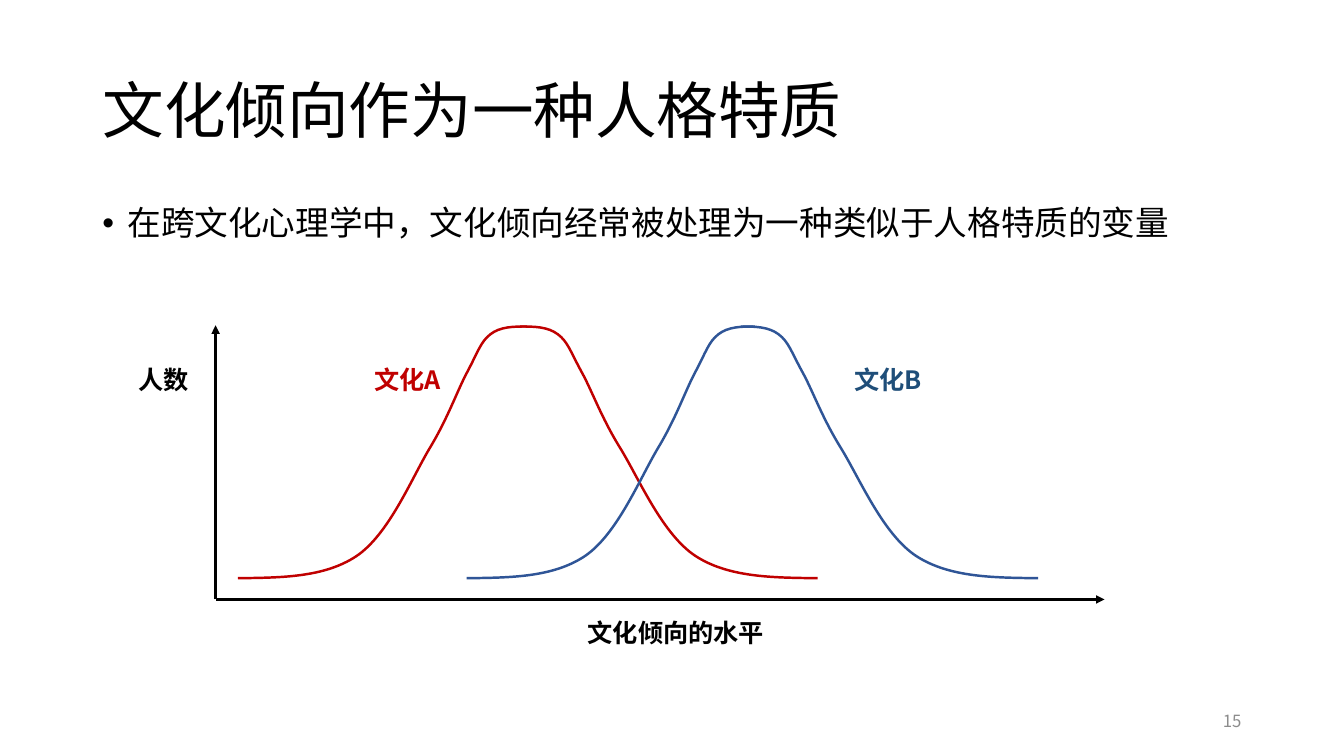
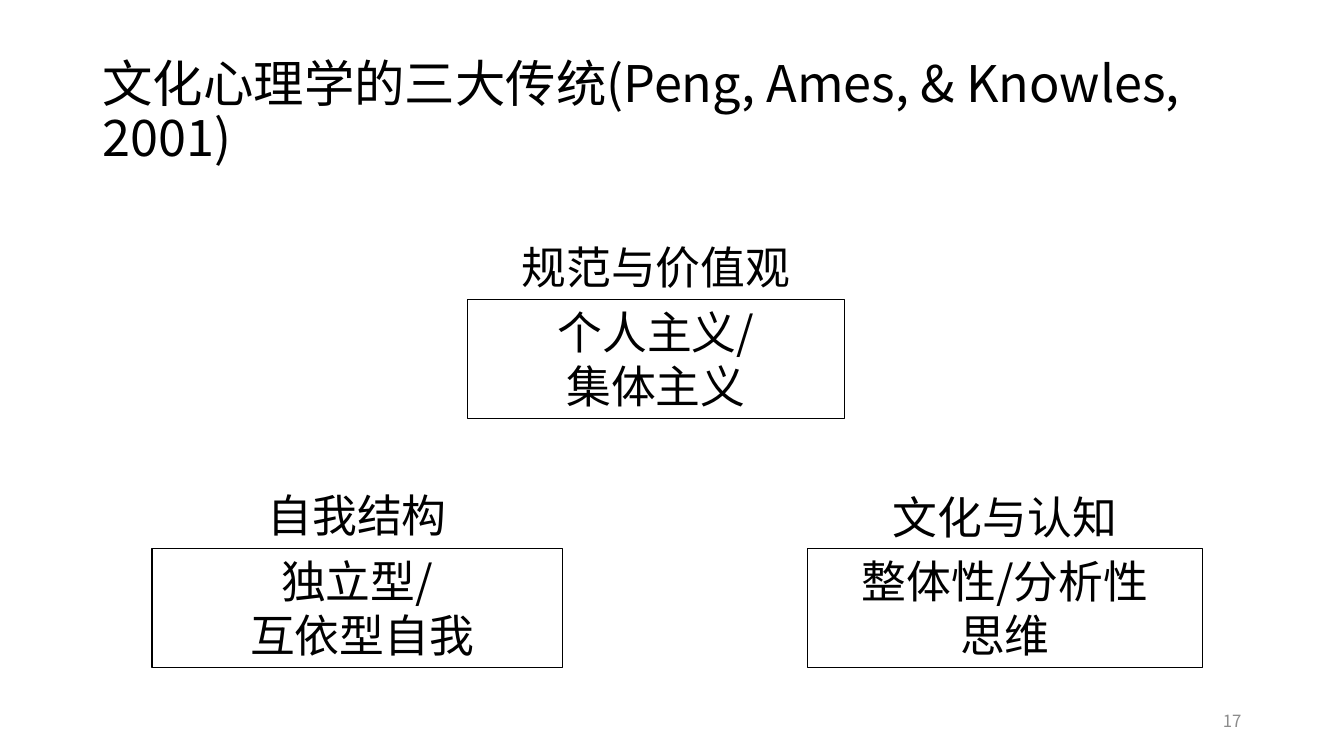
from lxml.etree import SubElement
from pptx import Presentation
from pptx.dml.color import RGBColor
from pptx.enum.shapes import MSO_CONNECTOR, MSO_SHAPE
from pptx.enum.text import MSO_ANCHOR, MSO_AUTO_SIZE, PP_ALIGN
from pptx.oxml.ns import qn
from pptx.util import Pt

FONT = "Noto Sans CJK SC"
BLACK = RGBColor(0, 0, 0)
GREY = RGBColor(0x8C, 0x8C, 0x8C)
RED = RGBColor(0xC0, 0, 0)
BLUE = RGBColor(0x2F, 0x55, 0x97)
NAVY = RGBColor(0x1F, 0x4E, 0x79)
LEFT, WIDE = 66, 828

# Content: titles are text, size, page number
TRAIT = ("文化倾向作为一种人格特质", 44, 15)
SCHOOLS = ("文化心理学的三大传统(Peng, Ames, & Knowles, 2001)", 36, 17)
POINT = "在跨文化心理学中，文化倾向经常被处理为一种类似于人格特质的变量"

# Labels: text, centre x, top, colour
LABELS = [
    ("文化倾向的水平", 482.8, 437.5, BLACK),
    ("人数", 117, 257, BLACK),
    ("文化A", 291.2, 257, RED),
    ("文化B", 634.5, 257, NAVY),
]

# Axes: origin and the two arrow tips
ORIGIN = (154, 428.2)
TIPS = [(789, 428.2), (154, 232.4)]

# Half bells: foot x, peak x, colour
HALVES = [
    (170, 376.5, RED),
    (584, 371.5, RED),
    (333.4, 539.3, BLUE),
    (741.6, 529.2, BLUE),
]
# Bezier points of a half bell: percent of the way to the peak, height y
BELL = [
    (0, 413), (14.9, 412.6), (29.8, 412.6), (41, 397.2),
    (52.2, 381.6), (60, 342), (66.3, 320.2),
    (72.8, 298), (75.9, 278.6), (79.5, 265),
    (83, 251.3), (84, 244), (87.3, 238.8),
    (90.7, 233.3), (95.3, 233.2), (100, 233.2),
]

# Traditions: heading, its top, lines, box left, top, width
BOXES = [
    ("规范与价值观", 167.8, "个人主义/\v集体主义", 334, 213.9, 269.3),
    ("自我结构", 344.9, "独立型/\n 互依型自我", 108.7, 392, 293),
    ("文化与认知", 346.3, "整体性/分析性\n思维", 577, 392, 281.8),
]


def write(frame, text, size, color=BLACK, bold=False, align=PP_ALIGN.LEFT,
          anchor=MSO_ANCHOR.TOP, lead=None, bullet=None):
    frame.text = text
    frame.word_wrap = True
    frame.auto_size = MSO_AUTO_SIZE.NONE
    frame.vertical_anchor = anchor
    for para in frame.paragraphs:
        para.alignment = align
        if lead:
            para.line_spacing = lead
        if bullet:
            props = para._p.get_or_add_pPr()
            props.set("marL", str(Pt(18)))
            props.set("indent", str(-Pt(18)))
            SubElement(props, qn("a:buFont")).set("typeface", "Arial")
            SubElement(props, qn("a:buChar")).set("char", bullet)
        for run in para.runs:
            font = run.font
            font.size, font.bold, font.name = Pt(size), bold, FONT
            font.color.rgb = color
            SubElement(run._r.get_or_add_rPr(), qn("a:ea")).set("typeface", FONT)


def add_text(slide, spot, text, size, **style):
    box = slide.shapes.add_textbox(*map(Pt, spot))
    write(box.text_frame, text, size, **style)


def add_page(deck, head, size, page):
    slide = deck.slides.add_slide(deck.slide_layouts[5])
    title = slide.shapes.title
    title.left, title.top = Pt(LEFT), Pt(28.8)
    title.width, title.height = Pt(WIDE), Pt(104.4)
    write(title.text_frame, head, size, anchor=MSO_ANCHOR.MIDDLE, lead=0.9)
    add_text(slide, (678, 500.5, 216, 28.8), str(page), 12, color=GREY,
             align=PP_ALIGN.RIGHT, anchor=MSO_ANCHOR.MIDDLE)
    return slide


def add_axis(slide, start, end):
    axis = slide.shapes.add_connector(
        MSO_CONNECTOR.STRAIGHT, *map(Pt, start + end))
    axis.line.color.rgb = BLACK
    axis.line.width = Pt(2)
    SubElement(axis.line._get_or_add_ln(), qn("a:tailEnd")).set("type", "triangle")
    SubElement(axis._element.spPr, qn("a:effectLst"))


def bend(shape):
    """Join each three straight segments into one cubic Bezier."""
    parts = list(shape._element.iter(qn("a:lnTo")))
    for i in range(0, len(parts), 3):
        curve = parts[i]
        curve.tag = qn("a:cubicBezTo")
        for part in parts[i + 1:i + 3]:
            curve.append(part[0])
            part.getparent().remove(part)


def add_half(slide, foot, peak, color):
    dots = [(Pt(foot + u / 100 * (peak - foot)), Pt(y)) for u, y in BELL]
    pen = slide.shapes.build_freeform(*dots[0])
    pen.add_line_segments(dots[1:], close=False)
    curve = pen.convert_to_shape()
    bend(curve)
    curve.shadow.inherit = False
    curve.fill.background()
    curve.line.color.rgb = color
    curve.line.width = Pt(1.75)


def add_box(slide, head, rise, lines, left, top, width):
    add_text(slide, (left, rise, width, 46), head, 32, align=PP_ALIGN.CENTER)
    box = slide.shapes.add_shape(
        MSO_SHAPE.RECTANGLE, *map(Pt, (left, top, width, 85)))
    box.shadow.inherit = False
    box.fill.background()
    box.line.color.rgb = BLACK
    box.line.width = Pt(1)
    write(box.text_frame, lines, 32, align=PP_ALIGN.CENTER)


def main():
    deck = Presentation()
    deck.slide_width, deck.slide_height = Pt(960), Pt(540)

    # Two overlapping bells on one scale
    slide = add_page(deck, *TRAIT)
    add_text(slide, (LEFT, 144, WIDE, 342.7), POINT, 24, lead=0.9, bullet="•")
    for tip in TIPS:
        add_axis(slide, ORIGIN, tip)
    for half in HALVES:
        add_half(slide, *half)
    for text, mid, top, color in LABELS:
        add_text(slide, (mid - 80, top, 160, 29), text, 18, color=color,
                 bold=True, align=PP_ALIGN.CENTER)

    # Three traditions
    slide = add_page(deck, *SCHOOLS)
    for box in BOXES:
        add_box(slide, *box)

    deck.save("out.pptx")


if __name__ == "__main__":
    main()
